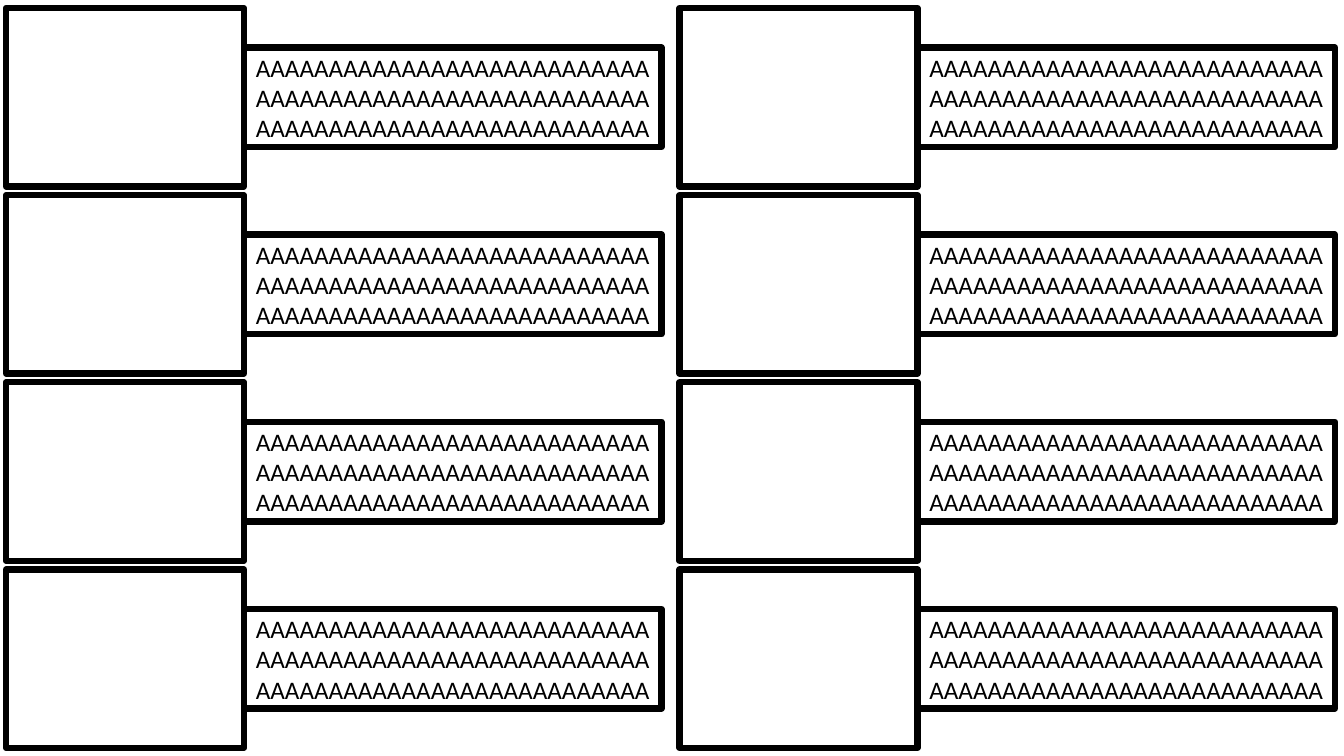
from dataclasses import dataclass

from pptx import Presentation
from pptx.dml.color import RGBColor
from pptx.enum.shapes import MSO_SHAPE
from pptx.enum.text import MSO_ANCHOR, PP_ALIGN
from pptx.slide import Slide
from pptx.util import Inches, Pt

BLACK = RGBColor(0, 0, 0)
FONT = "Calibri"
LABEL = "A" * 81
ROWS = 4
LEFTS = (0.06, 6.74)
PITCH = (5.65 - 0.08) / (ROWS - 1)


@dataclass(frozen=True)
class Box:
    shift: float
    top: float
    width: float
    height: float
    text: str = ""


FRAME = Box(0, 0.08, 2.36, 1.77)
CAPTION = Box(FRAME.width, 0.47, 4.14, 0.99, LABEL)


def draw(slide: Slide, box: Box, left: float, row: int) -> None:
    shape = slide.shapes.add_shape(
        MSO_SHAPE.RECTANGLE,
        Inches(left + box.shift),
        Inches(box.top + row * PITCH),
        Inches(box.width),
        Inches(box.height),
    )
    shape.shadow.inherit = False
    shape.fill.background()
    shape.line.color.rgb = BLACK
    shape.line.width = Pt(4.5)
    if box.text:
        write(shape.text_frame, box.text)


def write(frame, text: str) -> None:
    frame.word_wrap = True
    frame.vertical_anchor = MSO_ANCHOR.MIDDLE
    para = frame.paragraphs[0]
    para.alignment = PP_ALIGN.CENTER
    run = para.add_run()
    run.text = text
    run.font.name = FONT
    run.font.size = Pt(18)
    run.font.color.rgb = BLACK


def main() -> None:
    deck = Presentation()
    deck.slide_width = Inches(13.33)
    deck.slide_height = Inches(7.5)
    slide = deck.slides.add_slide(deck.slide_layouts[6])
    for left in LEFTS:
        for box in (FRAME, CAPTION):
            for row in range(ROWS):
                draw(slide, box, left, row)
    deck.save("out.pptx")


if __name__ == "__main__":
    main()
